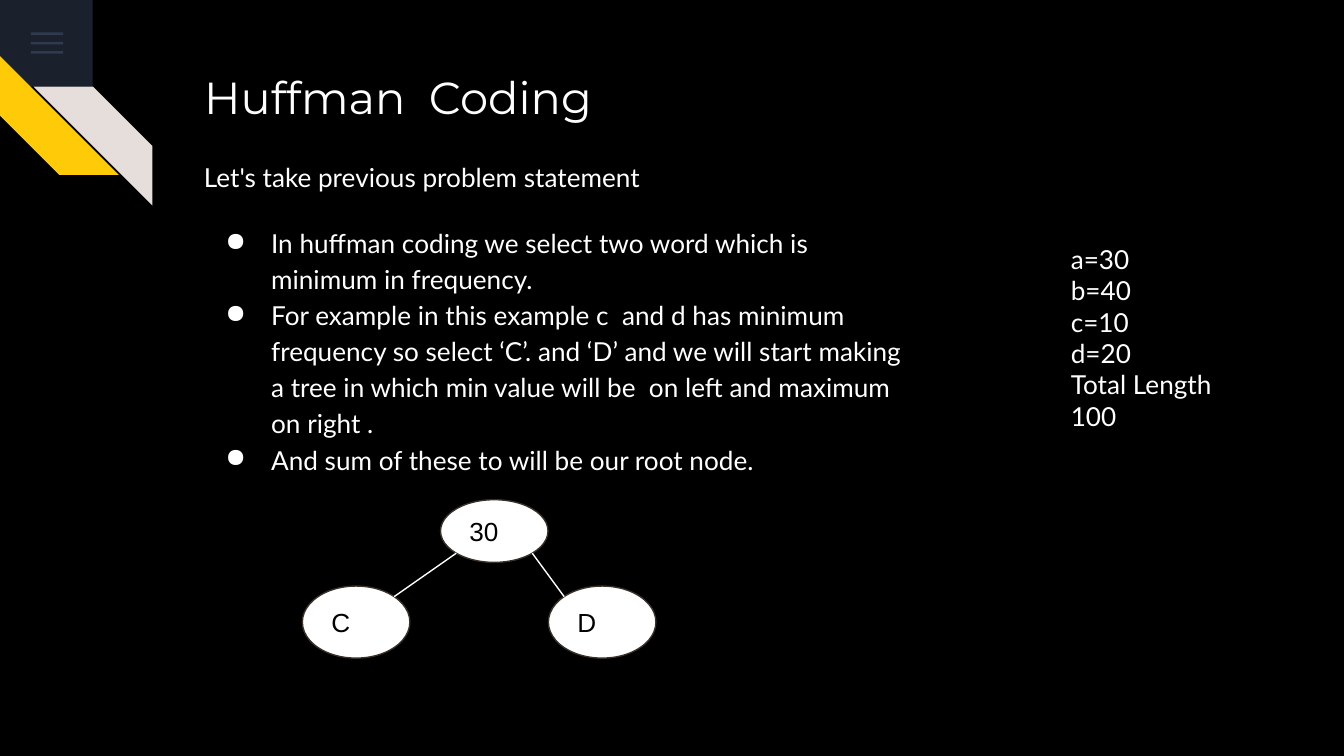
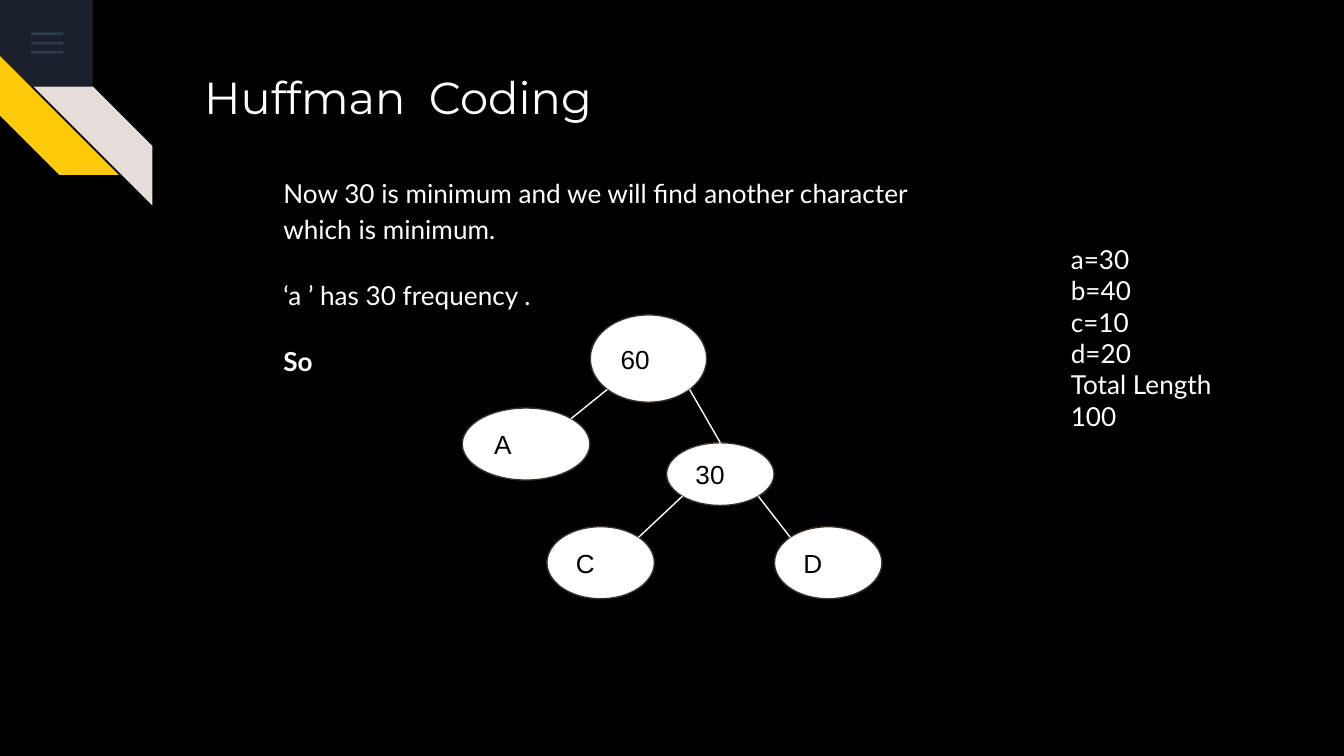
"""Build two slides that grow a Huffman tree step by step."""
from math import sqrt

from pptx import Presentation
from pptx.dml.color import RGBColor
from pptx.enum.shapes import MSO_CONNECTOR, MSO_SHAPE
from pptx.enum.text import MSO_ANCHOR, MSO_AUTO_SIZE, PP_ALIGN
from pptx.oxml.ns import qn
from pptx.util import Pt
from lxml.etree import SubElement

BLACK = RGBColor(0, 0, 0)
WHITE = RGBColor(255, 255, 255)
NAVY = RGBColor(0x1B, 0x21, 0x2C)
SLATE = RGBColor(0x55, 0x68, 0x8B)
GOLD = RGBColor(0xFF, 0xCA, 0x08)
PALE = RGBColor(0xE5, 0xDE, 0xDB)
BROWN = RGBColor(0x39, 0x30, 0x2A)

TITLE = "Huffman  Coding"
COUNTS = ["a=30", "b=40", "c=10", "d=20", "Total Length", "100"]
COUNT_BOX = (566.6, 123.1, 98.6, 116.6)
OVAL = MSO_SHAPE.OVAL
STRIPE = MSO_SHAPE.DIAGONAL_STRIPE
RECT = MSO_SHAPE.RECTANGLE

# Lines hold text, left margin, first indent, space before, bold.
SLIDES = [
    {
        "box": (102.2, 77, 393.8, 303),
        "lines": [
            ("Let's take previous problem statement", 0, 0, 0, False),
            ("In huffman coding we select two word which is minimum "
             "in frequency.", 36, -24.5, 16, False),
            ("For example in this example c  and d has minimum frequency "
             "so select ‘C’. and ‘D’ and we will start making a tree in "
             "which min value will be  on left and maximum on right .",
             36, -24.5, 0, False),
            ("And sum of these to will be our root node.",
             36, -24.5, 0, False),
        ],
        "nodes": {
            "30": (236, 267.7, 57.6, 33.6),
            "C": (162, 314, 57.6, 38.6),
            "D": (293.8, 314, 57.6, 38.6),
        },
        "links": [("30", "C", "left"), ("30", "D", "right")],
    },
    {
        "box": (108.7, 85.4, 393.8, 267),
        "lines": [
            ("Now 30 is minimum and we will find another character "
             "which is minimum.", 36, 0, 0, False),
            ("‘a ’ has 30 frequency .", 36, 0, 16, False),
            ("So", 36, 0, 16, True),
        ],
        "nodes": {
            "30": (357.1, 237.2, 57.6, 33.6),
            "C": (293, 282.2, 57.6, 38.6),
            "D": (414.9, 282.2, 57.6, 38.6),
            "A": (247.6, 218.6, 68.4, 38.6),
            "60": (316.2, 168.7, 62.4, 46.8),
        },
        "links": [("30", "C", "left"), ("30", "D", "right"),
                  ("60", "A", "left"), ("60", "30", "top")],
    },
]


def pts(box):
    return [Pt(n) for n in box]


def shape(slide, kind, box, fill, turn=0):
    item = slide.shapes.add_shape(kind, *pts(box))
    item.shadow.inherit = False
    item.fill.solid()
    item.fill.fore_color.rgb = fill
    item.line.fill.background()
    item.rotation = turn
    return item


def frame(item, anchor=MSO_ANCHOR.TOP):
    text = item.text_frame
    text.word_wrap = True
    text.auto_size = MSO_AUTO_SIZE.NONE
    text.vertical_anchor = anchor
    text.margin_left = text.margin_right = Pt(7.2)
    text.margin_top = text.margin_bottom = Pt(7.2)
    return text


def style(para, face, size, color, bold=False):
    para.alignment = PP_ALIGN.LEFT
    font = para.font
    font.name, font.size, font.bold = face, Pt(size), bold
    font.color.rgb = color


def lines(slide, box, rows, gap):
    text = frame(slide.shapes.add_textbox(*pts(box)))
    for i, (words, left, indent, before, bold) in enumerate(rows):
        para = text.paragraphs[0] if i == 0 else text.add_paragraph()
        para.text = words
        props = para._p.get_or_add_pPr()
        props.set("marL", str(Pt(left)))
        props.set("indent", str(Pt(indent)))
        if indent:
            tint = SubElement(props, qn("a:buClr"))
            SubElement(tint, qn("a:srgbClr")).set("val", str(WHITE))
            SubElement(props, qn("a:buChar")).set("char", "●")
        para.line_spacing = gap
        para.space_before = Pt(before)
        style(para, "Lato", 14, WHITE, bold)


def corner(slide):
    shape(slide, RECT, (0, 0, 49.7, 46.4), NAVY)
    for i in range(3):
        bar = shape(slide, RECT, (16.6, 17.4 + 5 * i, 17.3, 1.4), SLATE)
        tint = next(bar._element.spPr.iter(qn("a:srgbClr")))
        SubElement(tint, qn("a:alpha")).set("val", "36000")
    shape(slide, STRIPE, (0, 30, 63.7, 63.7), GOLD, 270)
    shape(slide, STRIPE, (18, 46.4, 63.7, 63.7), PALE, 90)


def rim(box, across, down):
    x, y, w, h = box
    return (Pt(x + w / 2 * (1 + across / sqrt(2))),
            Pt(y + h / 2 * (1 + down / sqrt(2))))


def tree(slide, nodes, links):
    ovals = {}
    for name, box in nodes.items():
        oval = ovals[name] = shape(slide, OVAL, box, WHITE)
        oval.line.color.rgb = BROWN
        oval.line.width = Pt(0.75)
        text = frame(oval, MSO_ANCHOR.MIDDLE)
        text.text = name
        style(text.paragraphs[0], "Arial", 14, BLACK)
    for top, low, side in links:
        way = -1 if side == "left" else 1
        line = slide.shapes.add_connector(
            MSO_CONNECTOR.STRAIGHT,
            *rim(nodes[top], way, 1), *rim(nodes[low], -way, -1))
        if side == "top":
            line.end_connect(ovals[low], 0)
        line.line.color.rgb = WHITE
        line.line.width = Pt(0.75)
        SubElement(line._element.spPr, qn("a:effectLst"))


def main():
    deck = Presentation()
    deck.slide_width, deck.slide_height = Pt(720), Pt(405)
    back = deck.slide_master.background.fill
    back.solid()
    back.fore_color.rgb = BLACK
    counts = [(words, 0, 0, 0, False) for words in COUNTS]
    for data in SLIDES:
        slide = deck.slides.add_slide(deck.slide_layouts[5])
        corner(slide)
        title = slide.shapes.title
        title.left, title.top, title.width, title.height = pts(
            (102.2, 30.2, 554.4, 47.5))
        text = frame(title)
        text.text = TITLE
        style(text.paragraphs[0], "Montserrat", 24, WHITE)
        lines(slide, data["box"], data["lines"], 1.15)
        lines(slide, COUNT_BOX, counts, 1)
        tree(slide, data["nodes"], data["links"])
    deck.save("out.pptx")


if __name__ == "__main__":
    main()
